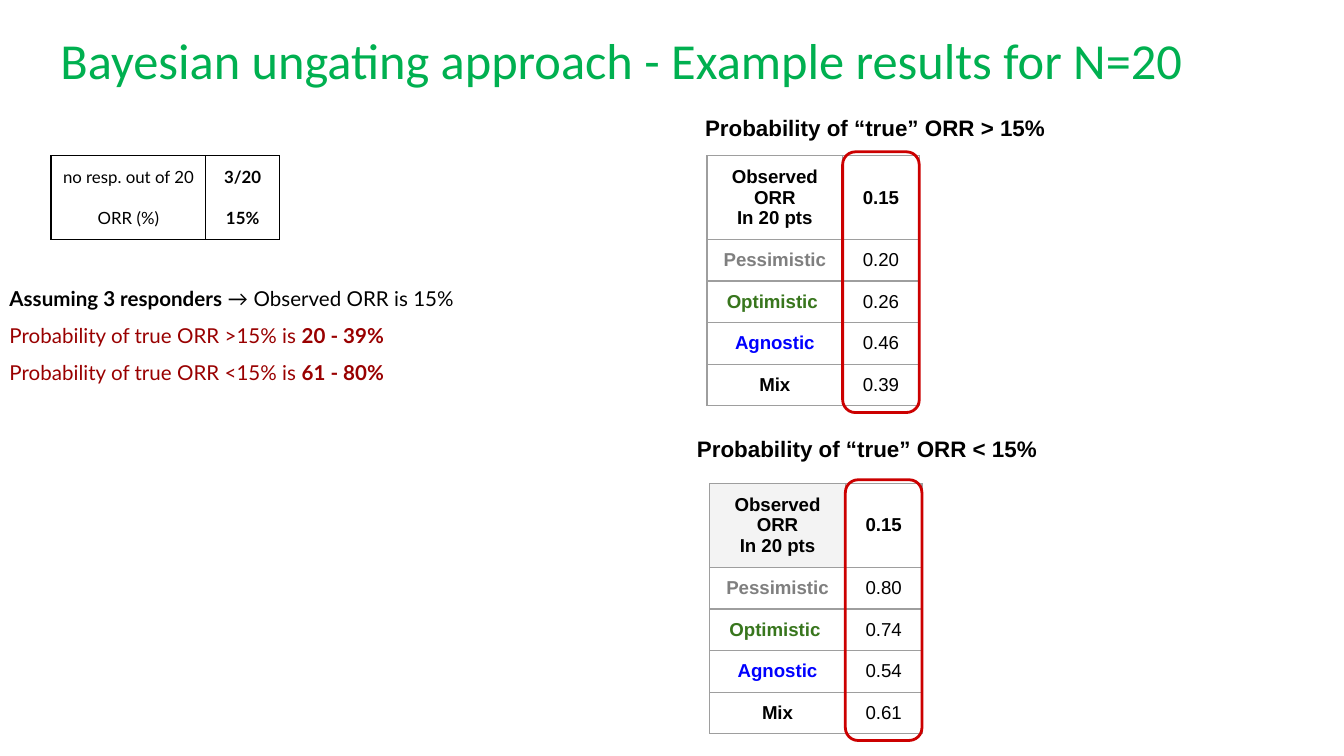
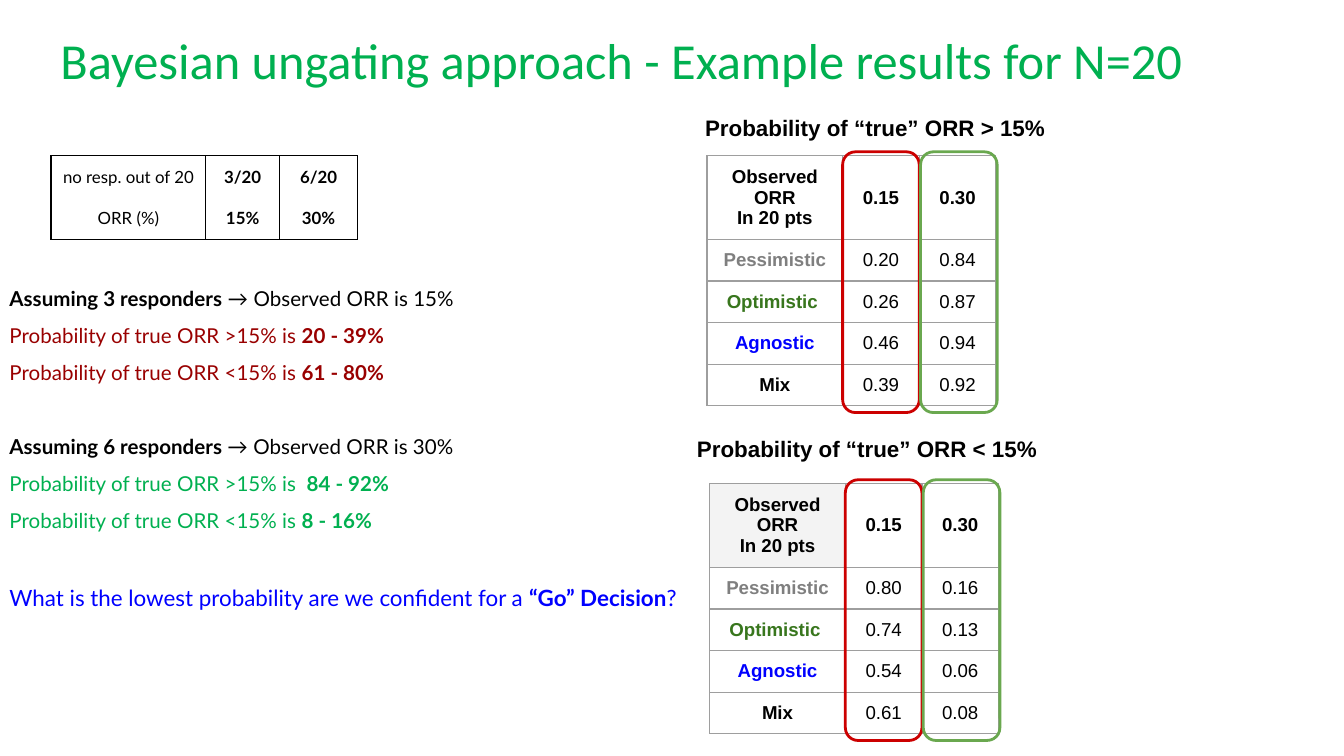
from lxml.etree import SubElement
from pptx import Presentation
from pptx.dml.color import RGBColor
from pptx.enum.shapes import MSO_SHAPE
from pptx.enum.text import MSO_ANCHOR, MSO_AUTO_SIZE, PP_ALIGN
from pptx.oxml.ns import qn
from pptx.util import Inches, Pt

BLACK, WHITE, BLUE = "000000", "FFFFFF", "0000FF"
GREEN, MAROON, GRAY = "00B050", "990000", "9E9E9E"
RINGS = ["CC0000", "6AA84F"]
TITLE = "Bayesian ungating approach - Example results for N=20"
PRIORS = [("Pessimistic", "7F7F7F"), ("Optimistic ", "38761D"),
          ("Agnostic", BLUE), ("Mix", BLACK)]
RATES = ["0.15", "0.30"]
ABOVE = [["0.20", "0.26", "0.46", "0.39"], ["0.84", "0.87", "0.94", "0.92"]]
BELOW = [["0.80", "0.74", "0.54", "0.61"], ["0.16", "0.13", "0.06", "0.08"]]
COUNTS = [("3/20", "15%"), ("6/20", "30%")]
CASES = [
    (MAROON, ("Assuming 3 responders", " → Observed ORR is 15%"),
     "20 - 39%", "61 - 80%"),
    (GREEN, ("Assuming 6 responders ", "→ Observed ORR is 30%"),
     " 84 - 92%", "8 - 16%"),
]
LABEL, STEP, HEAD, ROW = 1.01, 0.57, 0.62, 0.31


def tint(code):
    return RGBColor.from_string(code)


def write(frame, text, font="Arial", size=10, color=BLACK, bold=False,
          align=None, before=0, line=None, inset=0, fresh=True):
    para = frame.paragraphs[0] if fresh else frame.add_paragraph()
    para.space_before = Pt(before)
    if align is not None:
        para.alignment = align
    if line:
        para.line_spacing = line
    if inset:
        props = para._p.get_or_add_pPr()
        props.set("marL", str(Inches(inset)))
        props.set("indent", "0")
    parts = [(text, bold)] if isinstance(text, str) else text
    for words, heavy in parts:
        run = para.add_run()
        run.text = words
        run.font.name = font
        run.font.size = Pt(size)
        run.font.bold = heavy
        run.font.color.rgb = tint(color)


def pad(thing, side, top):
    thing.margin_left = thing.margin_right = Inches(side)
    thing.margin_top = thing.margin_bottom = Inches(top)


def add_box(slide, left, top, width, height, margin=0.04):
    box = slide.shapes.add_textbox(
        Inches(left), Inches(top), Inches(width), Inches(height))
    frame = box.text_frame
    frame.word_wrap = True
    pad(frame, 0.07, margin)
    return frame


def add_grid(slide, left, top, widths, heights):
    grid = slide.shapes.add_table(
        len(heights), len(widths), Inches(left), Inches(top),
        Inches(sum(widths)), Inches(sum(heights))).table
    grid.first_row = grid.horz_banding = False
    for col, width in zip(grid.columns, widths):
        col.width = Inches(width)
    for row, height in zip(grid.rows, heights):
        row.height = Inches(height)
    return grid


def style(cell, fill, edge, side=0.07, top=0.06):
    cell.vertical_anchor = MSO_ANCHOR.MIDDLE
    pad(cell, side, top)
    props = cell._tc.get_or_add_tcPr()
    for name in ("a:lnL", "a:lnR", "a:lnT", "a:lnB"):
        line = SubElement(props, qn(name), w=str(Pt(0.75)))
        solid = SubElement(line, qn("a:solidFill"))
        SubElement(solid, qn("a:srgbClr"), val=edge)
    if fill:
        cell.fill.solid()
        cell.fill.fore_color.rgb = tint(fill)
    else:
        cell.fill.background()


def add_title(slide, left, top, width, height):
    frame = add_box(slide, left, top, width, height)
    frame.vertical_anchor = MSO_ANCHOR.MIDDLE
    write(frame, TITLE, font="Calibri", size=27, color=GREEN, line=0.9)


def add_label(slide, left, top, sign):
    frame = add_box(slide, left, top, 4.31, 0.35, margin=0.07)
    frame.auto_size = MSO_AUTO_SIZE.SHAPE_TO_FIT_TEXT
    write(frame, f"Probability of “true” ORR {sign} 15% ", size=12,
          bold=True, align=PP_ALIGN.CENTER, inset=0.38)


def add_odds(slide, left, top, data, corner=None, side=None):
    grid = add_grid(slide, left, top, [LABEL] + [STEP] * len(data),
                    [HEAD] + [ROW] * len(PRIORS))
    center = PP_ALIGN.CENTER
    first = grid.cell(0, 0)
    style(first, corner, GRAY)
    write(first.text_frame, "Observed ORR", bold=True, align=center)
    write(first.text_frame, "In 20 pts", bold=True, align=center, fresh=False)
    for r, (name, color) in enumerate(PRIORS, 1):
        cell = grid.cell(r, 0)
        style(cell, side, GRAY)
        write(cell.text_frame, name, color=color, bold=True, align=center)
    for c, (rate, odds) in enumerate(zip(RATES, data), 1):
        for r, value in enumerate([rate] + odds):
            cell = grid.cell(r, c)
            style(cell, WHITE, GRAY)
            write(cell.text_frame, value, bold=r == 0, align=center)
    for i, color in enumerate(RINGS[:len(data)]):
        ring = slide.shapes.add_shape(
            MSO_SHAPE.ROUNDED_RECTANGLE, Inches(left + LABEL + 0.58 * i),
            Inches(top - 0.03), Inches(0.57), Inches(1.94))
        ring.shadow.inherit = False
        ring.fill.background()
        ring.line.color.rgb = tint(color)
        ring.line.width = Pt(1.5)


def add_counts(slide, left, top, data):
    widths = [1.15, 0.55, 0.58][:len(data) + 1]
    grid = add_grid(slide, left, top, widths, [0.62])
    for c, pair in enumerate([("no resp. out of 20", "ORR (%)")] + data):
        cell = grid.cell(0, c)
        style(cell, WHITE if c else None, BLACK, side=0.08, top=0.04)
        for i, text in enumerate(pair):
            write(cell.text_frame, text, font="Lato", size=9, bold=c > 0,
                  align=PP_ALIGN.CENTER, before=10.8 * i, fresh=i == 0)


def add_notes(slide, left, top, width, height, cases, ask):
    frame = add_box(slide, left, top, width, height)
    look = dict(font="Lato", line=0.9)
    for i, (color, (lead, rest), over, under) in enumerate(cases):
        write(frame, [(lead, True), (rest, False)], size=11,
              before=27.5 if i else 8, fresh=i == 0, **look)
        for sign, span in ((">", over), ("<", under)):
            write(frame, [(f"Probability of true ORR {sign}15% is ", False),
                          (span, True)],
                  size=11, color=color, before=8, fresh=False, **look)
    if ask:
        write(frame,
              [("What is the lowest probability are we confident for a", False),
               (" “Go” Decision", True), ("?", False)],
              size=12, color=BLUE, before=29, fresh=False, **look)


def add_page(deck, count):
    slide = deck.slides.add_slide(deck.slide_layouts[6])
    add_title(slide, 0.38, 0.06, 8.62, 0.82)
    add_notes(slide, 0, 2.11, 5.18, 4.64, CASES[:count], count > 1)
    add_counts(slide, 0.38, 1.16, COUNTS[:count])
    add_label(slide, 4.19, 0.78, ">")
    add_odds(slide, 5.26, 1.16, ABOVE[:count])
    add_label(slide, 4.13, 3.17, "<")
    add_odds(slide, 5.28, 3.6, BELOW[:count], corner="F3F3F3", side=WHITE)


def main():
    deck = Presentation()
    deck.slide_width = Inches(10)
    deck.slide_height = Inches(10) * 9 // 16
    for count in (1, 2):
        add_page(deck, count)
    deck.save("out.pptx")


if __name__ == "__main__":
    main()
